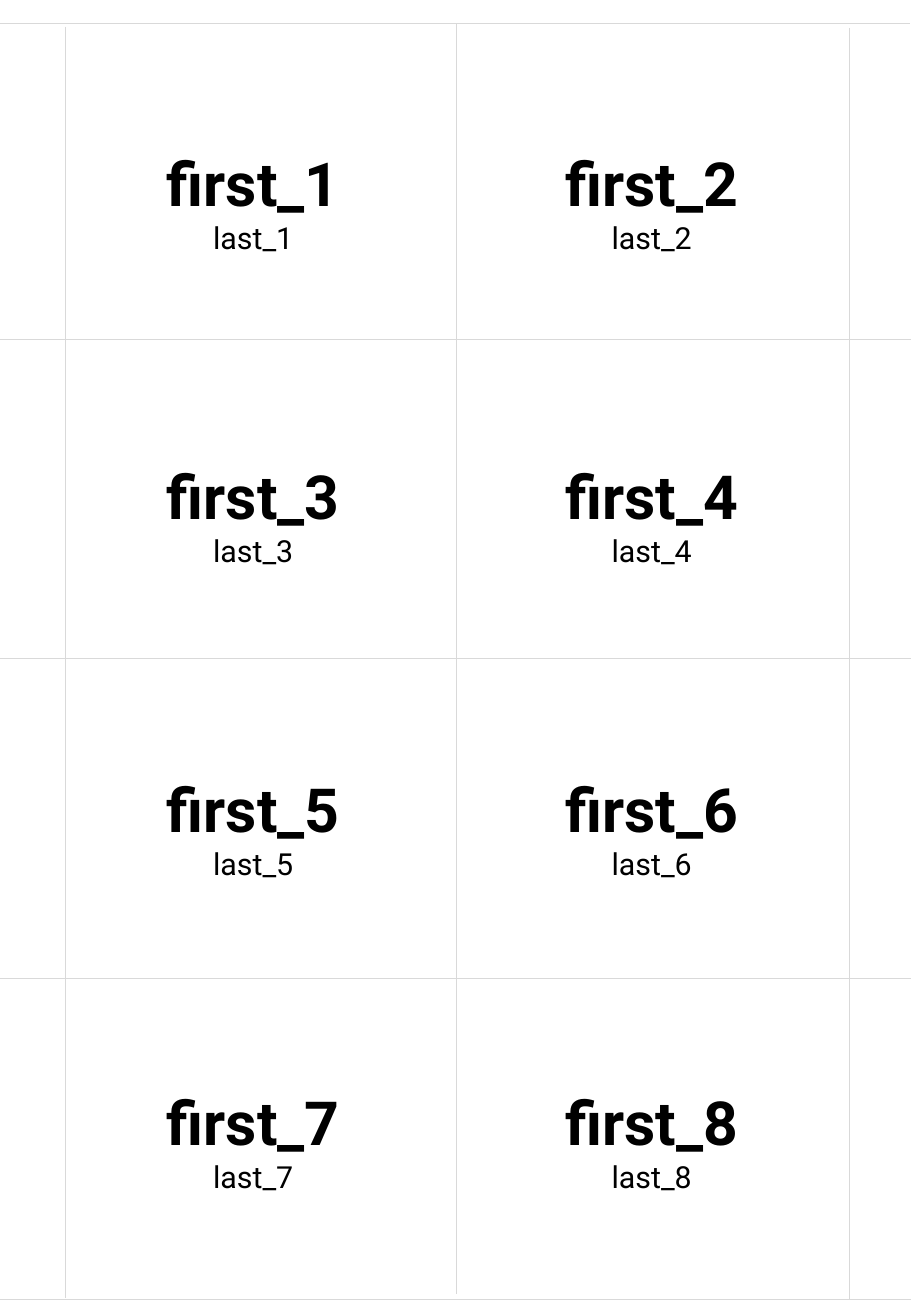
import pptx
import pptx.util
import pptx.dml.color
import pptx.enum.shapes
import pptx.enum.text
import pptx.oxml.ns
import lxml.etree

Inches = pptx.util.Inches

CARDS = [(f"first_{n}", f"last_{n}") for n in range(1, 9)]
NAME_STYLES = [
    {"size": pptx.util.Pt(36), "bold": True, "name": "Roboto"},
    {"size": pptx.util.Pt(18), "bold": False, "name": "Roboto"},
]
COLUMNS = 2
CARD_LEFT, CARD_PITCH_X, CARD_WIDTH = 0.51, 3.28, 3.15
CARD_TOP, CARD_LAST_TOP, CARD_HEIGHT = 1.15, 8.88, 1.01
CARD_PITCH_Y = (CARD_LAST_TOP - CARD_TOP) / (len(CARDS) // COLUMNS - 1)

COLUMN_CUTS = [(0.54, 0.22), (3.76, 0.19), (6.99, 0.23)]
ROW_CUTS = [(-0.29, 0.19), (-0.03, 2.79), (-0.18, 5.42), (-0.27, 8.05), (-0.19, 10.69)]
COLUMN_CUT_LENGTH, ROW_CUT_LENGTH = 10.46, 7.78


def color(hex_value):
    return pptx.dml.color.RGBColor.from_string(hex_value)


def add_cut(s, left, top, width, height):
    line = s.shapes.add_connector(
        pptx.enum.shapes.MSO_CONNECTOR.STRAIGHT,
        Inches(left), Inches(top), Inches(left + width), Inches(top + height))
    line.line.color.rgb = color("D9D9D9")
    line.line.width = pptx.util.Pt(0.5)
    lxml.etree.SubElement(line._element.spPr, pptx.oxml.ns.qn("a:effectLst"))


def add_card(s, left, top, names):
    sp = s.shapes.add_textbox(
        Inches(left), Inches(top), Inches(CARD_WIDTH), Inches(CARD_HEIGHT))
    tf = sp.text_frame
    tf.word_wrap = True
    tf.auto_size = pptx.enum.text.MSO_AUTO_SIZE.SHAPE_TO_FIT_TEXT
    tf.text = "\n".join(names)
    for p, style in zip(tf.paragraphs, NAME_STYLES):
        p.alignment = pptx.enum.text.PP_ALIGN.CENTER
        r = p.runs[0]
        r.font.color.rgb = color("000000")
        for key, value in style.items():
            setattr(r.font, key, value)


prs = pptx.Presentation()
prs.slide_width, prs.slide_height = Inches(7.5), Inches(10.83)
s = prs.slides.add_slide(prs.slide_layouts[6])
s.background.fill.solid()
s.background.fill.fore_color.rgb = color("FFFFFF")

for left, top in COLUMN_CUTS:
    add_cut(s, left, top, 0, COLUMN_CUT_LENGTH)
for left, top in ROW_CUTS:
    add_cut(s, left, top, ROW_CUT_LENGTH, 0)
for index, names in enumerate(CARDS):
    row, column = divmod(index, COLUMNS)
    add_card(s, CARD_LEFT + column * CARD_PITCH_X, CARD_TOP + row * CARD_PITCH_Y, names)

prs.save("out.pptx")
